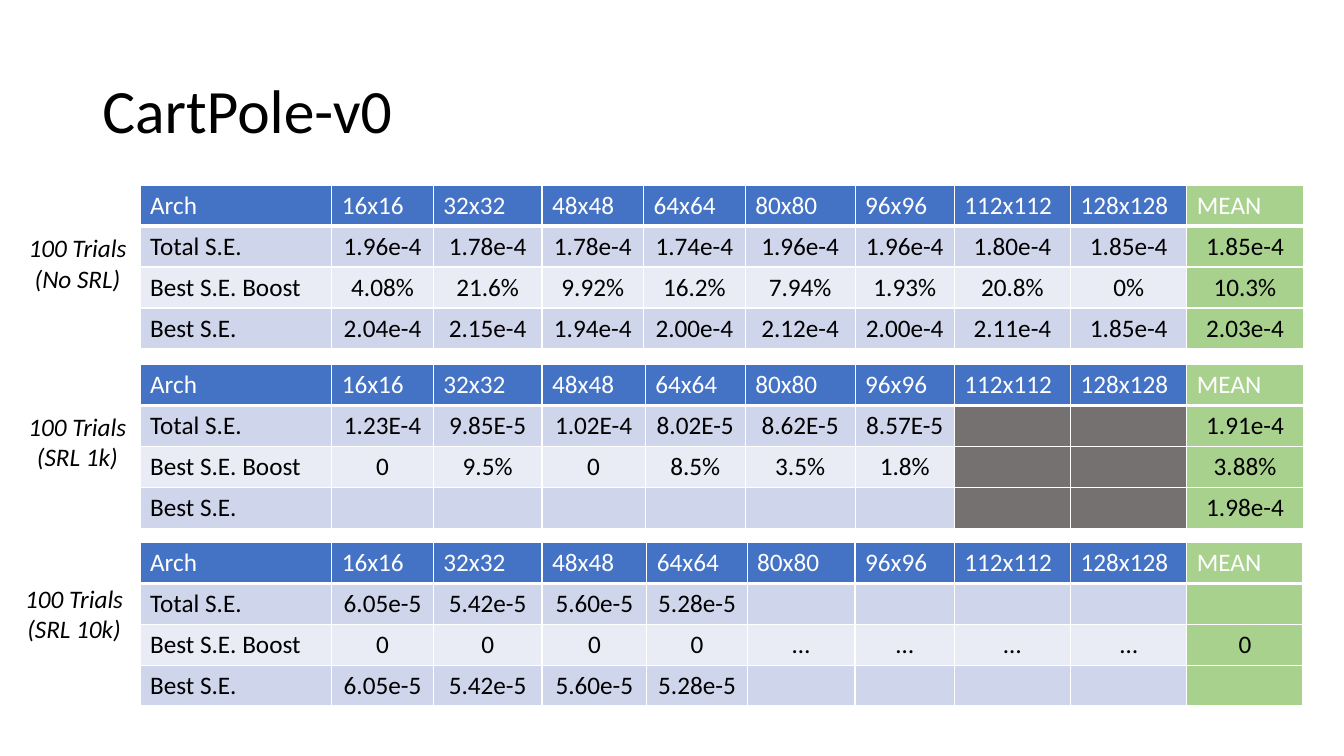
from pptx import Presentation
from pptx.dml.color import RGBColor
from pptx.enum.text import MSO_ANCHOR as Anchor, PP_ALIGN as Align
from pptx.oxml import parse_xml
from pptx.oxml.ns import nsdecls
from pptx.util import Cm, Pt

WHITE = RGBColor(0xFF, 0xFF, 0xFF)
BLACK = RGBColor(0, 0, 0)
BLUE = RGBColor(0x44, 0x72, 0xC4)
GREEN = RGBColor(0xA9, 0xD1, 0x8E)
GREY = RGBColor(0x76, 0x71, 0x71)
DARK = RGBColor(0xCF, 0xD5, 0xEA)
LIGHT = RGBColor(0xE9, 0xEB, 0xF5)

HEAD = "Arch 16x16 32x32 48x48 64x64 80x80 96x96 112x112 128x128 MEAN".split()
NAMES = ["Total S.E.", "Best S.E. Boost", "Best S.E."]
ROW = 1.03
LEFT = 3.53
NONE = [""]

# Each trial: label lines, label box (left, top, width), table top,
# widths of the columns 48x48 to 80x80, values, count of grey columns
TRIALS = [
    (["100 Trials", "(No SRL)"], (0.43, 5.74, 3.05), 4.67, [2.56, 2.56, 2.77],
     ["1.96e-4 1.78e-4 1.78e-4 1.74e-4 1.96e-4 1.96e-4 1.80e-4 1.85e-4 1.85e-4".split(),
      "4.08% 21.6% 9.92% 16.2% 7.94% 1.93% 20.8% 0% 10.3%".split(),
      "2.04e-4 2.15e-4 1.94e-4 2.00e-4 2.12e-4 2.00e-4 2.11e-4 1.85e-4 2.03e-4".split()], 0),
    (["100 Trials (SRL 1k)"], (0.36, 10.24, 3.18), 9.19, [2.6, 2.52, 2.77],
     ["1.23E-4 9.85E-5 1.02E-4 8.02E-5 8.62E-5 8.57E-5".split() + NONE * 2 + ["1.91e-4"],
      "0 9.5% 0 8.5% 3.5% 1.8%".split() + NONE * 2 + ["3.88%"],
      NONE * 8 + ["1.98e-4"]], 2),
    (["100 Trials", "(SRL 10k)"], (0.36, 14.58, 3.02), 13.67, [2.64, 2.53, 2.72],
     ["6.05e-5 5.42e-5 5.60e-5 5.28e-5".split() + NONE * 5,
      ["0"] * 4 + ["…"] * 4 + ["0"],
      "6.05e-5 5.42e-5 5.60e-5 5.28e-5".split() + NONE * 5], 0),
]


class Deck:
    def __init__(self, font):
        self.font = font
        self.file = Presentation()
        self.file.slide_width, self.file.slide_height = Cm(33.87), Cm(19.05)
        self.slide = self.file.slides.add_slide(self.file.slide_layouts[6])

    def style(self, para, size=18, color=BLACK, align=Align.LEFT, italic=False):
        para.alignment = align
        font = para.font
        font.name, font.size, font.bold, font.italic = self.font, Pt(size), False, italic
        font.color.rgb = color

    def text(self, lines, box, **look):
        frame = self.slide.shapes.add_textbox(*map(Cm, box)).text_frame
        frame.word_wrap = True
        frame.text = "\n".join(lines)
        for para in frame.paragraphs:
            self.style(para, **look)
        return frame

    def edge(self, cell, top, base):
        """Draw white cell borders, with the given top and bottom widths in points."""
        props = cell._tc.get_or_add_tcPr()
        for side, width in zip("LRTB", (1, 1, top, base)):
            props.append(parse_xml(
                f'<a:ln{side} {nsdecls("a")} w="{Pt(width)}"><a:solidFill>'
                f'<a:srgbClr val="{WHITE}"/></a:solidFill></a:ln{side}>'))

    def table(self, rows, top, widths, fill):
        """Build a table; fill(row, column) gives the colour of a cell."""
        grid = self.slide.shapes.add_table(
            len(rows), len(widths), Cm(LEFT), Cm(top),
            Cm(sum(widths)), Cm(ROW * len(rows))).table
        for col, width in zip(grid.columns, widths):
            col.width = Cm(width)
        for r, row in enumerate(rows):
            grid.rows[r].height = Cm(ROW)
            for c, word in enumerate(row):
                cell = grid.cell(r, c)
                cell.text = word
                self.edge(cell, 3 if r == 1 else 1, 3 if r == 0 else 1)
                cell.fill.solid()
                cell.fill.fore_color.rgb = fill(r, c)
                self.style(cell.text_frame.paragraphs[0],
                           color=BLACK if r else WHITE,
                           align=Align.CENTER if r and c else Align.LEFT)


def shade(row, col, grey):
    last = len(HEAD) - 1
    if col == last:
        return GREEN
    if row == 0:
        return BLUE
    if col >= last - grey:
        return GREY
    return DARK if row % 2 else LIGHT


def main():
    deck = Deck("Calibri")
    title = deck.text(["CartPole-v0"], (2.33, 1.01, 29.21, 3.68), size=44)
    title.vertical_anchor = Anchor.MIDDLE
    title.paragraphs[0].line_spacing = 0.9
    for label, (left, top, width), start, mid, values, grey in TRIALS:
        rows = [HEAD] + [[name] + row for name, row in zip(NAMES, values)]
        widths = [4.83, 2.56, 2.74] + mid + [2.5] + [2.93] * 3
        deck.table(rows, start, widths, lambda r, c: shade(r, c, grey))
        deck.text(label, (left, top, width, 1.8), align=Align.CENTER, italic=True)
    deck.file.save("out.pptx")


if __name__ == "__main__":
    main()
